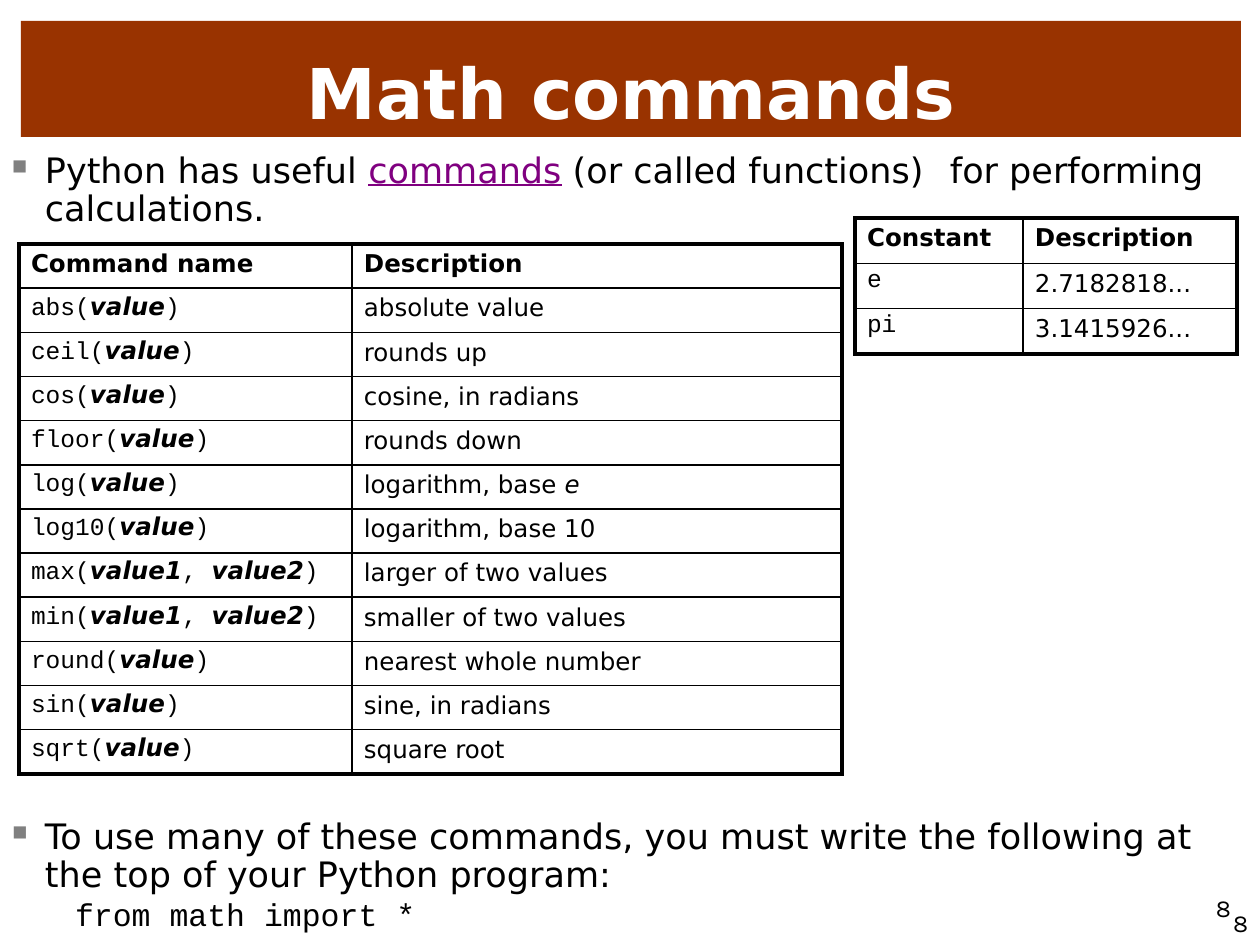
from dataclasses import dataclass

from lxml import etree
from pptx import Presentation
from pptx.dml.color import RGBColor
from pptx.enum.shapes import MSO_SHAPE
from pptx.enum.text import PP_ALIGN
from pptx.oxml.ns import qn
from pptx.util import Emu, Pt

RECT = MSO_SHAPE.RECTANGLE
CENTER = PP_ALIGN.CENTER
PX = 914400 / 126


def px(n):
    return Emu(round(n * PX))


@dataclass(frozen=True)
class Theme:
    ink: str = "000000"
    paper: str = "FFFFFF"
    banner: str = "993300"
    term: str = "800080"
    bullet: str = "808080"
    sans: str = "DejaVu Sans"
    mono: str = "Courier New"
    number: str = "Karla"
    title: int = 40
    body: int = 20
    code: int = 18
    small: int = 14
    thick: float = 2.25
    thin: float = 1


T = Theme()


def add_text(p, text, size=T.small, font=T.sans, color=T.ink,
             bold=False, italic=False, underline=False):
    r = p.add_run()
    r.text = text
    f = r.font
    f.size, f.name = Pt(size), font
    f.bold, f.italic, f.underline = bold, italic, underline
    f.color.rgb = RGBColor.from_string(color)


def sub(parent, tag, **attrs):
    return etree.SubElement(parent, qn(tag), attrs)


def indent(p, left, first=0):
    pPr = p._p.get_or_add_pPr()
    pPr.set("marL", str(px(left)))
    pPr.set("indent", str(px(first)))
    return pPr


class SlideBuilder:
    def __init__(self, theme, width, height):
        self.t = theme
        self.prs = Presentation()
        self.prs.slide_width, self.prs.slide_height = px(width), px(height)
        self.s = self.prs.slides.add_slide(self.prs.slide_layouts[6])

    def frame(self, tf, top=0):
        tf.word_wrap = True
        tf.margin_left = tf.margin_right = tf.margin_bottom = 0
        tf.margin_top = px(top)
        return tf

    def banner(self, box, text):
        sp = self.s.shapes.add_shape(RECT, *map(px, box))
        sp.shadow.inherit = False
        sp.fill.solid()
        sp.fill.fore_color.rgb = RGBColor.from_string(self.t.banner)
        sp.line.fill.background()
        p = self.frame(sp.text_frame, 25).paragraphs[0]
        p.alignment = CENTER
        add_text(p, text, size=self.t.title, color=self.t.paper, bold=True)

    def textbox(self, box, top=0):
        sp = self.s.shapes.add_textbox(*map(px, box))
        return self.frame(sp.text_frame, top)

    def bullet(self, box, runs, tabs=(34,)):
        tf = self.textbox(box, 6)
        p = tf.paragraphs[0]
        p.line_spacing = Pt(21.6)
        pPr = indent(p, 34, -33)
        sub(sub(pPr, "a:buClr"), "a:srgbClr", val=self.t.bullet)
        sub(pPr, "a:buSzPct", val="60000")
        sub(pPr, "a:buChar", char="■")
        tab_list = sub(pPr, "a:tabLst")
        for tab in tabs:
            sub(tab_list, "a:tab", pos=str(px(tab)), algn="l")
        for text, fmt in runs:
            add_text(p, text, size=self.t.body, **fmt)
        return tf

    def code_line(self, tf, text):
        p = tf.add_paragraph()
        p.space_before = Pt(0.5)
        indent(p, 64)
        add_text(p, text, size=self.t.code, font=self.t.mono)

    def page_number(self, box, text, left):
        p = self.textbox(box).paragraphs[0]
        indent(p, left)
        add_text(p, text, font=self.t.number)

    def borders(self, cell, outer):
        tcPr = cell._tc.get_or_add_tcPr()
        for side in "LRTB":
            width = self.t.thick if side in outer else self.t.thin
            ln = sub(tcPr, "a:ln" + side, w=str(Pt(width)))
            sub(sub(ln, "a:solidFill"), "a:srgbClr", val=self.t.ink)

    def table(self, left, top, height, cols, rows):
        box = (left, top, sum(cols), height)
        table = self.s.shapes.add_table(len(rows), len(cols), *map(px, box)).table
        table.first_row = table.horz_banding = False
        for column, width in zip(table.columns, cols):
            column.width = px(width)
        for i, row in enumerate(rows):
            for j, runs in enumerate(row):
                cell = table.cell(i, j)
                outer = {"T": i == 0, "B": i == len(rows) - 1,
                         "L": j == 0, "R": j == len(cols) - 1}
                self.borders(cell, [side for side, on in outer.items() if on])
                cell.fill.background()
                cell.margin_left = cell.margin_right = cell.margin_bottom = 0
                # Code cells sit a little higher than prose
                cell.margin_top = px(4 if i and j == 0 else 6)
                p = cell.text_frame.paragraphs[0]
                indent(p, 12)
                for text, fmt in runs:
                    add_text(p, text, **fmt)


PLAIN = {}
BOLD = {"bold": True}
MONO = {"font": T.mono}
ARGUMENT = {"bold": True, "italic": True}


def header(*names):
    return [[(name, BOLD)] for name in names]


def call(name, *args):
    runs = [(name + "(", MONO)]
    for i, arg in enumerate(args):
        if i:
            runs.append((", ", MONO))
        runs.append((arg, ARGUMENT))
    return runs + [(")", MONO)]


COMMANDS = [
    ("abs", ["value"], [("absolute value", PLAIN)]),
    ("ceil", ["value"], [("rounds up", PLAIN)]),
    ("cos", ["value"], [("cosine, in radians", PLAIN)]),
    ("floor", ["value"], [("rounds down", PLAIN)]),
    ("log", ["value"], [("logarithm, base ", PLAIN), ("e", {"italic": True})]),
    ("log10", ["value"], [("logarithm, base 10", PLAIN)]),
    ("max", ["value1", "value2"], [("larger of two values", PLAIN)]),
    ("min", ["value1", "value2"], [("smaller of two values", PLAIN)]),
    ("round", ["value"], [("nearest whole number", PLAIN)]),
    ("sin", ["value"], [("sine, in radians", PLAIN)]),
    ("sqrt", ["value"], [("square root", PLAIN)]),
]
CONSTANTS = [("e", "2.7182818..."), ("pi", "3.1415926...")]


def main():
    b = SlideBuilder(T, 1260, 945)

    # Title and introduction
    b.banner((21, 21, 1220, 116), "Math commands")
    b.bullet((11, 147, 1195, 83), [
        ("Python has useful ", PLAIN),
        ("commands", {"color": T.term, "underline": True}),
        (" (or called functions)\tfor performing calculations.", PLAIN),
    ], tabs=(34, 939))

    # Import instruction
    tf = b.bullet((11, 813, 1192, 122), [
        ("To use many of these commands, you must write the following at "
         "the top of your Python program:", PLAIN),
    ])
    b.code_line(tf, "from math import *")

    # Command and constant tables
    b.table(19, 244, 530, (333, 490), [header("Command name", "Description")] + [
        [call(name, *args), meaning] for name, args, meaning in COMMANDS])
    b.table(855, 218, 136, (168, 214), [header("Constant", "Description")] + [
        [[(name, MONO)], [(value, PLAIN)]] for name, value in CONSTANTS])

    # Page numbers
    b.page_number((1232, 908, 17, 33), "8", 1)
    b.page_number((1197, 893, 58, 30), "8", 19)

    b.prs.save("out.pptx")


if __name__ == "__main__":
    main()
